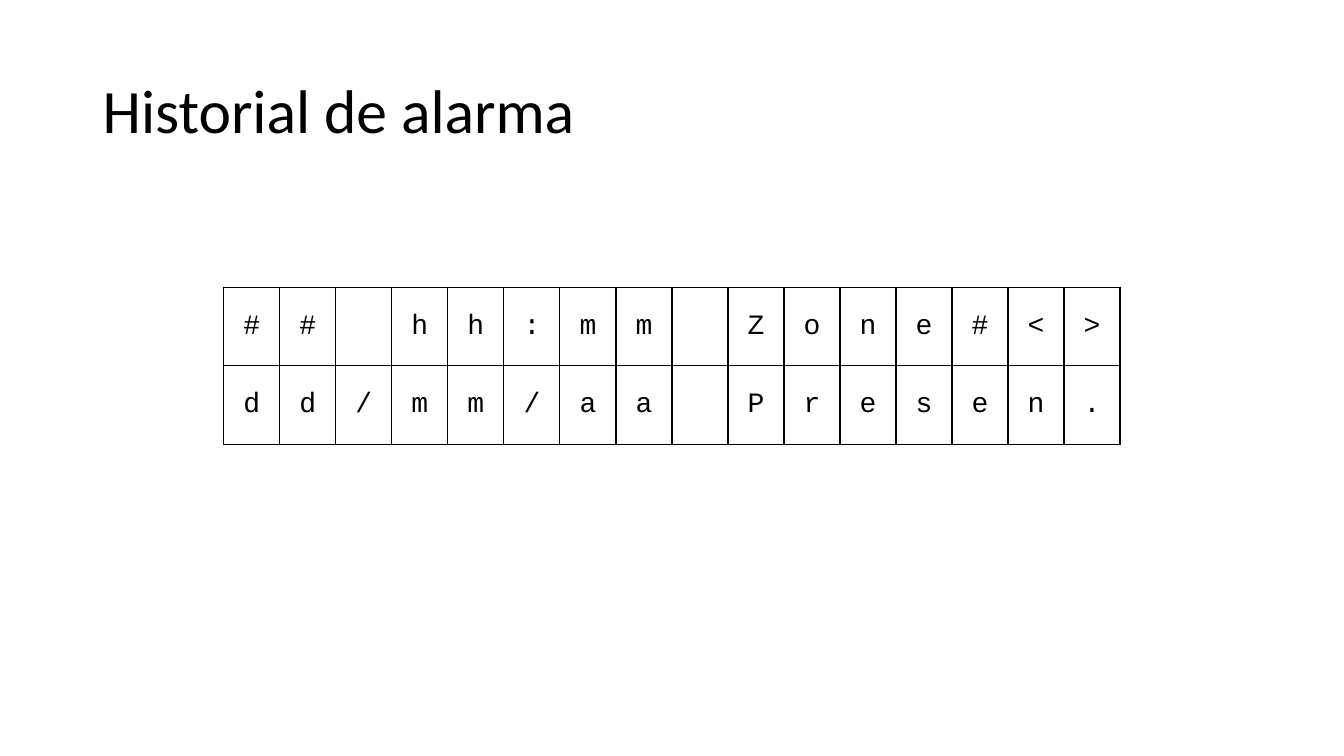
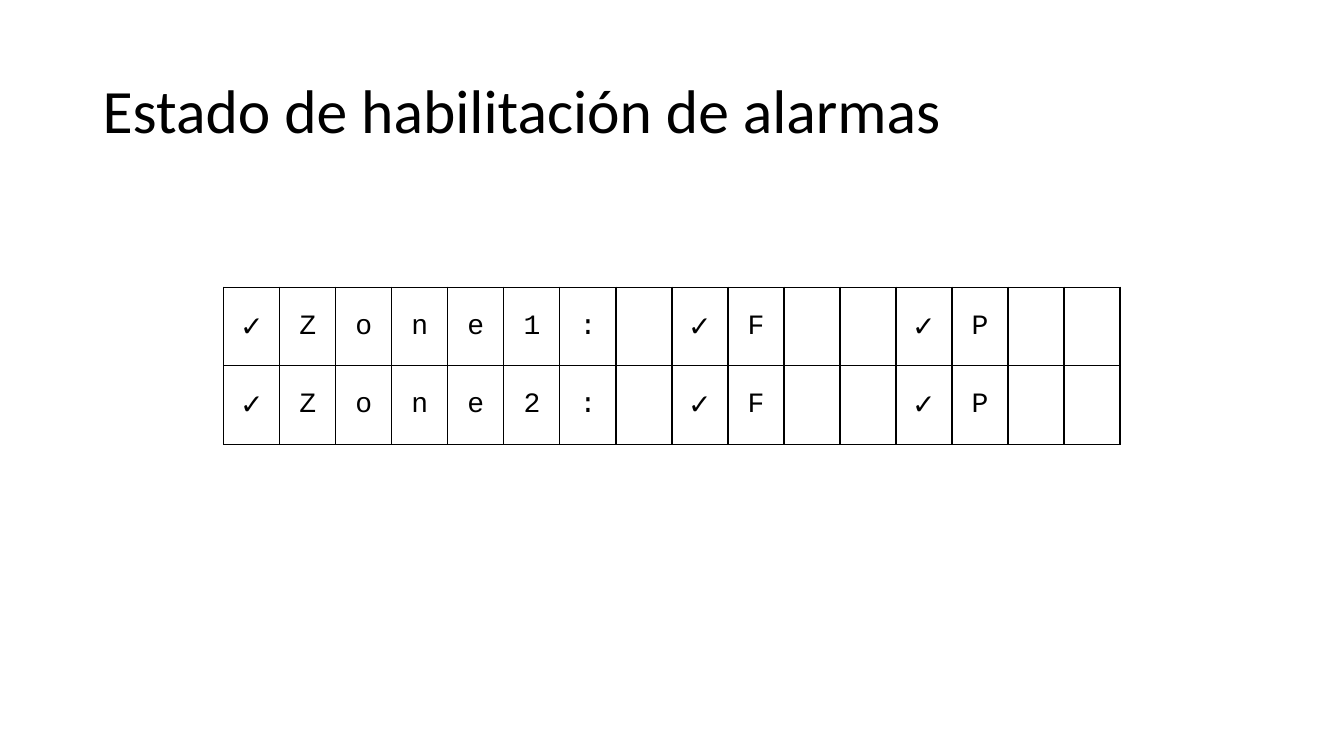
from dataclasses import dataclass

from lxml import etree
from pptx import Presentation
from pptx.dml.color import RGBColor
from pptx.enum import text
from pptx.oxml import ns
from pptx.util import Inches, Pt


@dataclass(frozen=True)
class Theme:
    ink: str = "000000"
    title_font: str = "Calibri"
    display_font: str = "Courier New"
    symbol_font: str = "Arial"
    title_size: int = 44
    display_size: int = 20
    border: float = 1


theme = Theme()
COLUMNS = 16
TABLE_WIDTH, ROW_HEIGHT = 8.89, 0.78

# Each row is one line of the 16-character display; a space is an empty cell.
SCREENS = [
    ("Historial de alarma", ["## hh:mm Zone#<>", "dd/mm/aa Presen."]),
    ("Estado de habilitación de alarmas",
     [f"✓Zone{zone}: ✓F  ✓P" for zone in (1, 2)]),
]


def write(tf, content, font, size, align=text.PP_ALIGN.LEFT, spacing=1.0):
    p = tf.paragraphs[0]
    p.alignment = align
    p.line_spacing = spacing
    r = p.add_run()
    r.text = content
    r.font.name = font
    r.font.size = Pt(size)
    r.font.color.rgb = RGBColor.from_string(theme.ink)


def set_borders(cell):
    tc_pr = cell._tc.get_or_add_tcPr()
    for side in ("a:lnL", "a:lnR", "a:lnT", "a:lnB"):
        line = etree.SubElement(tc_pr, ns.qn(side), w=str(Pt(theme.border)))
        fill = etree.SubElement(line, ns.qn("a:solidFill"))
        etree.SubElement(fill, ns.qn("a:srgbClr"), val=theme.ink)


prs = Presentation()
prs.slide_width, prs.slide_height = Inches(13.33), Inches(7.5)

for title, lines in SCREENS:
    s = prs.slides.add_slide(prs.slide_layouts[6])

    table = s.shapes.add_table(
        len(lines), COLUMNS, Inches(2.22), Inches(2.85),
        Inches(TABLE_WIDTH), Inches(ROW_HEIGHT * len(lines))).table
    table.first_row = table.horz_banding = False
    for column in table.columns:
        column.width = Inches(TABLE_WIDTH / COLUMNS)
    for row, line in zip(table.rows, lines):
        row.height = Inches(ROW_HEIGHT)
        for cell, char in zip(row.cells, line.ljust(COLUMNS)):
            set_borders(cell)
            cell.fill.background()
            cell.vertical_anchor = text.MSO_ANCHOR.MIDDLE
            if char != " ":
                font = theme.symbol_font if char == "✓" else theme.display_font
                write(cell.text_frame, char, font, theme.display_size,
                      align=text.PP_ALIGN.CENTER)

    sp = s.shapes.add_textbox(Inches(0.92), Inches(0.4), Inches(11.5), Inches(1.45))
    tf = sp.text_frame
    tf.word_wrap = True
    tf.vertical_anchor = text.MSO_ANCHOR.MIDDLE
    write(tf, title, theme.title_font, theme.title_size, spacing=0.9)

prs.save("out.pptx")
